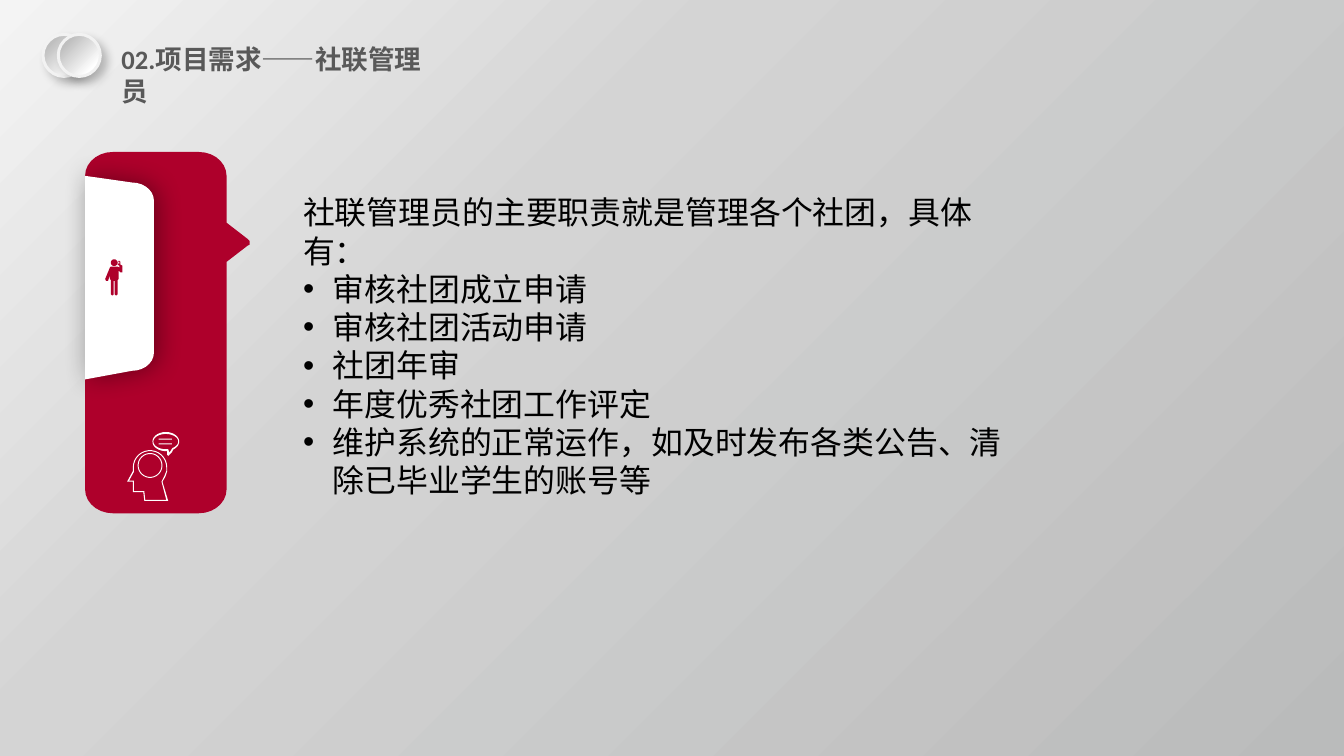
"""Build the slide on the duties of the union administrator."""
from dataclasses import dataclass
from math import cos, radians, sin

from lxml import etree
from pptx import Presentation
from pptx.dml.color import RGBColor
from pptx.enum.shapes import MSO_SHAPE
from pptx.enum.text import MSO_ANCHOR, MSO_AUTO_SIZE, PP_ALIGN
from pptx.oxml.ns import qn
from pptx.util import Inches, Pt

ELLIPSE, RECTANGLE = MSO_SHAPE.OVAL, MSO_SHAPE.RECTANGLE
TOP, LEFT = MSO_ANCHOR.TOP, PP_ALIGN.LEFT
GROW = MSO_AUTO_SIZE.SHAPE_TO_FIT_TEXT
CELL = Inches(0.01)
COLUMNS, ROWS = 1406, 791
Point = tuple[float, float]
Stops = tuple[tuple[int, str], ...]

@dataclass(frozen=True)
class Theme:
    """Colours, font and type sizes of the slide."""
    red: str = "AE002B"
    white: str = "FFFFFF"
    rim: str = "F2F2F2"
    heading: str = "595959"
    text: str = "000000"
    shadow: str = "000000"
    font: str = "Calibri"
    heading_size: int = 20
    text_size: int = 24
    backdrop: Stops = ((0, "F4F4F4"), (35, "D4D4D4"), (100, "BABBBB"))
    button: Stops = ((20, "BFBFBF"), (80, "FFFFFF"), (100, "FFFFFF"))

@dataclass(frozen=True)
class Shadow:
    """Outer shadow: opacity in percent, blur and distance in points, angle in degrees."""
    opacity: int
    blur: float
    distance: float
    angle: int

@dataclass(frozen=True)
class Area:
    """Rectangle measured in grid columns and rows."""
    column: float
    row: float
    width: float
    height: float

    def lengths(self) -> list[int]:
        """Return left, top, width and height as slide lengths."""
        return [round(n * CELL) for n in (self.column, self.row, self.width, self.height)]

@dataclass(frozen=True)
class Outline:
    """Closed contours filled with one colour."""
    contours: list[list[Point]]
    color: str
    shadow: Shadow | None = None

def arc(x: float, y: float, rx: float, ry: float, start: int, end: int) -> list[Point]:
    """Return points along an elliptic arc, clockwise from start to end degrees."""
    steps = max(6, (end - start) // 12)
    angles = [radians(start + (end - start) * i / steps) for i in range(steps + 1)]
    return [(x + rx * cos(a), y + ry * sin(a)) for a in angles]

THEME = Theme()
BUTTON_SHADOW = Shadow(23, 7, 5.9, 45)
TAB_SHADOW = Shadow(40, 20, 3, 0)
TITLE = "02.项目需求——社联管理员"
INTRO = "社联管理员的主要职责就是管理各个社团，具体有："
DUTIES = ("审核社团成立申请", "审核社团活动申请", "社团年审", "年度优秀社团工作评定",
          "维护系统的正常运作，如及时发布各类公告、清除已毕业学生的账号等")

CARD = Outline([
    arc(118, 184, 29, 25, 180, 270) + arc(208, 184, 29, 25, 270, 360)
    + [(237, 233), (259, 250), (261, 252), (261, 256), (259, 257), (237, 274)]
    + arc(208, 512, 29, 25, 0, 90) + arc(118, 512, 29, 25, 90, 180)], THEME.red)
TAB = Outline([
    [(89, 184)] + arc(138, 210, 23, 19, 270, 360)
    + arc(138, 369, 23, 19, 0, 90) + [(89, 397)]], THEME.white, TAB_SHADOW)
MAN_HEAD = Outline([arc(119.5, 274.8, 3.5, 3.5, 0, 360)], THEME.red)
MAN_BODY = Outline([
    [(124, 273), (125, 273), (126, 274), (126, 277), (128, 278), (128, 285), (126, 285), (124, 283),
     (124, 292), (123, 293), (123, 308), (122, 309), (121, 309), (120, 308), (120, 294), (119, 294),
     (119, 308), (118, 309), (117, 309), (116, 308), (116, 293), (115, 292), (115, 288), (113, 294),
     (111, 294), (110, 292), (115, 280), (116, 279), (123, 279), (125, 280), (125, 278), (123, 277),
     (123, 274)],
    [(124, 273.5), (123.5, 274), (123.5, 276), (125, 276), (125, 274)]], THEME.red)
PROFILE = Outline([
    arc(157, 489, 18, 18, 180, 360)
    + [(175, 493), (173, 499), (170, 504), (176, 524), (151, 524), (150, 515), (139, 515),
       (139, 504), (133, 504), (139, 493)],
    arc(157, 489, 17, 17, 180, 360)
    + [(174, 493), (172, 498), (169, 504), (174, 523), (152, 523), (151, 514), (140, 514),
       (140, 503), (135, 503), (140, 494)]], THEME.white)
MIND = Outline([arc(157, 487, r, r, 0, 360) for r in (13, 12)], THEME.white)
BUBBLE = Outline([
    arc(173.5, 462, 14, 10, 84, 417) + [(180, 473), (179, 474), (176, 477), (175, 476), (175, 474)],
    arc(173.5, 462, 13, 8, 80, 418) + [(179, 471), (176, 475), (177, 473), (176, 470)]], THEME.white)
BUTTONS = [Area(column, 36, 44, 44) for column in (45, 61)]
SPEECH_LINES = [Area(166, row, 14, 1) for row in (459, 464)]
TITLE_AREA = Area(117, 40, 356, 44)
BODY_AREA = Area(307, 197, 770, 293)

def paint_solid(shape, color: str) -> None:
    """Fill a shape with one colour and no border."""
    shape.fill.solid()
    shape.fill.fore_color.rgb = RGBColor.from_string(color)
    shape.line.fill.background()

def paint_gradient(fill, owner, stops: Stops) -> None:
    """Fill with a gradient running from the top left to the bottom right."""
    fill.gradient()
    fill.gradient_angle = 315
    stop_list = owner.find(".//" + qn("a:gsLst"))
    for stop in list(stop_list):
        stop_list.remove(stop)
    for position, color in stops:
        stop = etree.SubElement(stop_list, qn("a:gs"), pos=str(position * 1000))
        etree.SubElement(stop, qn("a:srgbClr"), val=color)

def cast_shadow(shape, shadow: Shadow | None) -> None:
    """Drop the inherited shadow and add the given one, if any."""
    shape.shadow.inherit = False
    if shadow:
        effects = shape.element.spPr.find(qn("a:effectLst"))
        outer = etree.SubElement(
            effects, qn("a:outerShdw"), blurRad=str(Pt(shadow.blur)), dist=str(Pt(shadow.distance)),
            dir=str(shadow.angle * 60000), algn="ctr", rotWithShape="0")
        color = etree.SubElement(outer, qn("a:srgbClr"), val=THEME.shadow)
        etree.SubElement(color, qn("a:alpha"), val=str(shadow.opacity * 1000))

def draw_outline(shapes, outline: Outline) -> None:
    """Draw one filled outline without a border."""
    first, *others = [[(round(x * CELL), round(y * CELL)) for x, y in contour]
                      for contour in outline.contours]
    builder = shapes.build_freeform(*first[0])
    builder.add_line_segments(first[1:], close=True)
    for contour in others:
        builder.move_to(*contour[0])
        builder.add_line_segments(contour[1:], close=True)
    shape = builder.convert_to_shape()
    paint_solid(shape, outline.color)
    cast_shadow(shape, outline.shadow)

def draw_button(shapes, area: Area) -> None:
    """Draw one round button with a light rim."""
    button = shapes.add_shape(ELLIPSE, *area.lengths())
    paint_gradient(button.fill, button.element, THEME.button)
    button.line.color.rgb = RGBColor.from_string(THEME.rim)
    button.line.width = Pt(2.25)
    cast_shadow(button, BUTTON_SHADOW)

def draw_speech_line(shapes, area: Area) -> None:
    """Draw one line of writing in the speech bubble."""
    bar = shapes.add_shape(RECTANGLE, *area.lengths())
    paint_solid(bar, THEME.white)
    cast_shadow(bar, None)

def place_frame(box, area: Area):
    """Move a placeholder to its area and return its text frame."""
    box.left, box.top, box.width, box.height = area.lengths()
    frame = box.text_frame
    frame.word_wrap, frame.auto_size, frame.vertical_anchor = True, GROW, TOP
    return frame

def write(para, text: str, size: int, color: str, bold: bool = False, bullet: bool = False) -> None:
    """Write one paragraph, bulleted or flush left, with no hanging punctuation."""
    para.alignment, para.line_spacing, para.space_before = LEFT, 1.0, Pt(0)
    span = para.add_run()
    span.text = text
    span.font.name, span.font.size, span.font.bold = THEME.font, Pt(size), bold
    span.font.color.rgb = RGBColor.from_string(color)
    settings = para._p.get_or_add_pPr()
    indent = Inches(0.31) if bullet else 0
    for name, value in (("marL", indent), ("indent", -indent), ("hangingPunct", 0)):
        settings.set(name, str(value))
    if bullet:
        etree.SubElement(settings, qn("a:buFont"), typeface="Arial")
        etree.SubElement(settings, qn("a:buChar"), char="•")
    else:
        etree.SubElement(settings, qn("a:buNone"))

def main() -> None:
    """Build and save the deck."""
    deck = Presentation()
    deck.slide_width, deck.slide_height = COLUMNS * CELL, ROWS * CELL
    page = deck.slides.add_slide(deck.slide_layouts[1])
    paint_gradient(page.background.fill, page.element, THEME.backdrop)
    title = place_frame(page.shapes.title, TITLE_AREA)
    write(title.paragraphs[0], TITLE, THEME.heading_size, THEME.heading, bold=True)
    body = place_frame(page.placeholders[1], BODY_AREA)
    write(body.paragraphs[0], INTRO, THEME.text_size, THEME.text)
    for duty in DUTIES:
        write(body.add_paragraph(), duty, THEME.text_size, THEME.text, bullet=True)
    for outline in (CARD, TAB, MAN_HEAD, MAN_BODY, PROFILE, MIND, BUBBLE):
        draw_outline(page.shapes, outline)
    for area in SPEECH_LINES:
        draw_speech_line(page.shapes, area)
    for area in BUTTONS:
        draw_button(page.shapes, area)
    deck.save("out.pptx")

if __name__ == "__main__":
    main()
